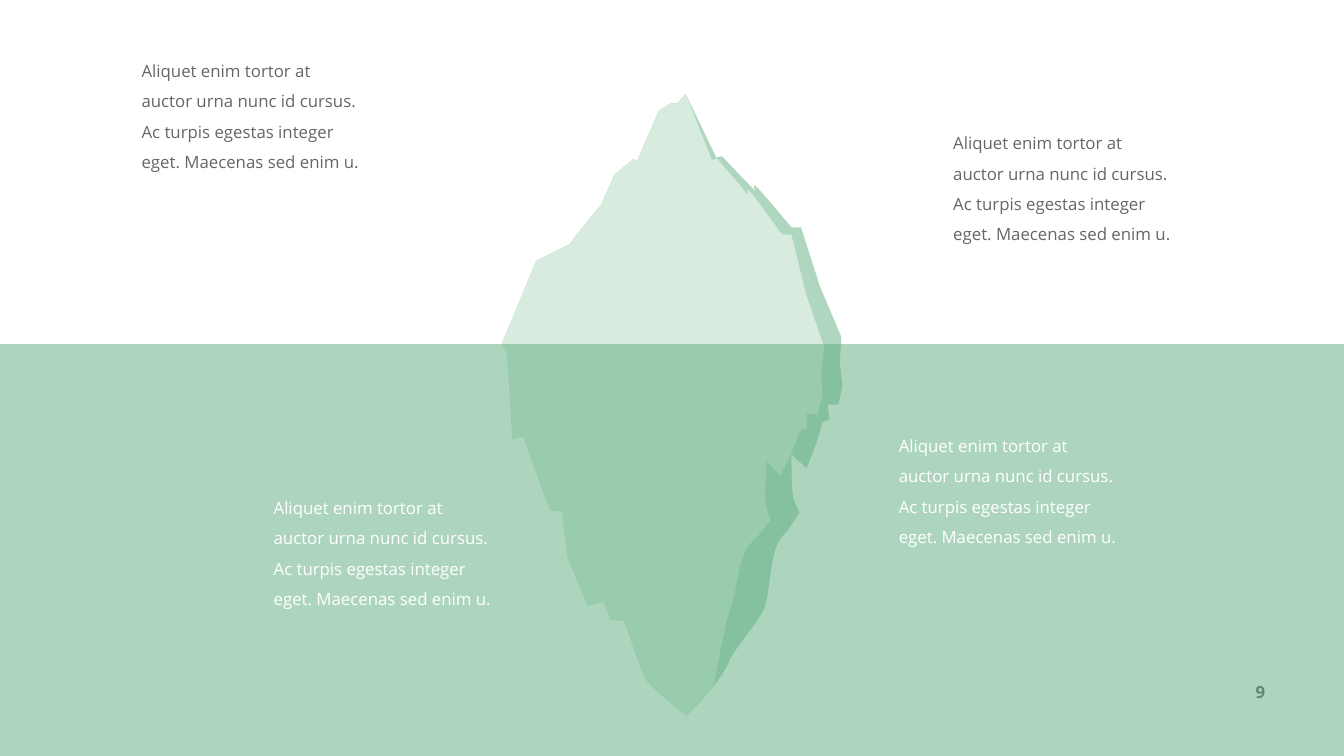
import pptx
import pptx.dml.color
import pptx.enum.shapes
import pptx.enum.text
import pptx.util
from lxml import etree
from pptx.oxml.ns import qn

PX = 9144  # EMU in one px, at 100 px to the inch
WIDTH, HEIGHT, WATERLINE = 2666, 1500, 683

COLORS = {
    "text": "656665",
    "white": "FFFFFF",
    "shade": "AFD6BF",
    "ice": "D7EBDE",
    "water": "5DAD7E",
}

BODY = (
    "Aliquet enim tortor at auctor urna nunc id cursus. "
    "Ac turpis egestas integer eget. Maecenas sed enim u."
)

# An outline step of two numbers is a line to x, y;
# one of six is a cubic curve: two control points, then its end.
WEST_SIDE = [
    (1331, 205), (1307, 219), (1264, 319), (1256, 316), (1219, 346),
    (1192, 407), (1144, 465), (1131, 484), (1064, 517), (995, 683),
    (1006, 701), (1017, 872), (1038, 866), (1091, 1012), (1115, 1015),
    (1126, 1106), (1166, 1202), (1198, 1194), (1211, 1229), (1238, 1232),
]

SHADE_EAST_SIDE = [
    (1344, 205), (1360, 186), (1421, 313), (1432, 310), (1498, 379),
    (1498, 379, 1493, 366, 1498, 368), (1503, 371, 1570, 451, 1570, 451),
    (1589, 451), (1626, 567), (1669, 669), (1666, 718), (1671, 767),
    (1663, 803), (1642, 803), (1645, 833),
    (1645, 833, 1631, 836, 1631, 839), (1631, 841, 1618, 883, 1618, 883),
    (1600, 929), (1570, 902),
    (1570, 902, 1570, 971, 1573, 984), (1576, 998, 1586, 1017, 1586, 1017),
    (1560, 1056),
    (1560, 1056, 1544, 1067, 1536, 1097), (1528, 1128, 1525, 1180, 1517, 1205),
    (1509, 1229, 1448, 1298, 1445, 1315), (1442, 1331, 1371, 1422, 1360, 1416),
    (1349, 1411, 1277, 1350, 1277, 1339), (1277, 1328, 1238, 1232, 1238, 1232),
]

ICE_EAST_SIDE = [
    (1238, 1232, 1273, 1335, 1278, 1344), (1286, 1361, 1341, 1403, 1362, 1421),
    (1385, 1397, 1414, 1365, 1417, 1356), (1420, 1339, 1438, 1237, 1447, 1213),
    (1457, 1189, 1463, 1137, 1473, 1107), (1483, 1077, 1500, 1068, 1500, 1068),
    (1529, 1031),
    (1529, 1031, 1520, 1011, 1518, 997), (1516, 983, 1521, 915, 1521, 915),
    (1548, 944), (1570, 899),
    (1570, 899, 1586, 858, 1587, 856), (1587, 853, 1600, 851, 1600, 851),
    (1600, 821), (1621, 822), (1631, 787), (1629, 737), (1635, 689),
    (1599, 584), (1570, 466), (1551, 465),
    (1551, 465, 1490, 380, 1485, 377), (1480, 374, 1485, 388, 1485, 388),
    (1423, 315), (1412, 317), (1360, 186), (1344, 205),
]


def flatten(steps, pieces=8):
    """Turn lines and cubic curves into a list of points."""
    points = []
    for step in steps:
        if len(step) == 2:
            points.append(step)
            continue
        start, first, second, end = points[-1], step[:2], step[2:4], step[4:]
        for piece in range(1, pieces + 1):
            t = piece / pieces
            u = 1 - t
            points.append(tuple(
                u**3 * a + 3 * u * u * t * b + 3 * u * t * t * c + t**3 * d
                for a, b, c, d in zip(start, first, second, end)
            ))
    return points


class Painter:
    font_name = "Open Sans"
    font_size = pptx.util.Pt(24)

    def __init__(self, page):
        self.page = page

    def color(self, name):
        return pptx.dml.color.RGBColor.from_string(COLORS[name])

    def paint(self, shape, color):
        shape.shadow.inherit = False
        shape.fill.solid()
        shape.fill.fore_color.rgb = self.color(color)
        shape.line.fill.background()

    def outline(self, steps, color):
        points = [(round(x * PX), round(y * PX)) for x, y in flatten(steps)]
        builder = self.page.shapes.build_freeform(*points[0])
        builder.add_line_segments(points[1:], close=True)
        self.paint(builder.convert_to_shape(), color)

    def veil(self, left, top, width, height, color, opacity):
        """Draw a see-through rectangle; opacity is in percent."""
        shape = self.page.shapes.add_shape(
            pptx.enum.shapes.MSO_SHAPE.RECTANGLE,
            left * PX, top * PX, width * PX, height * PX,
        )
        self.paint(shape, color)
        tint = shape.fill._xPr.find(f".//{qn('a:srgbClr')}")
        etree.SubElement(tint, qn("a:alpha"), val=str(opacity * 1000))

    def text(self, left, top, width, height, wording, color):
        box = self.page.shapes.add_textbox(
            left * PX, top * PX, width * PX, height * PX
        )
        box.text_frame.word_wrap = True
        para = box.text_frame.paragraphs[0]
        para.text = wording
        para.font.name = self.font_name
        para.font.size = self.font_size
        para.font.color.rgb = self.color(color)
        return box

    def body(self, left, top, color):
        box = self.text(left, top, 453, 246, BODY, color)
        box.text_frame.auto_size = pptx.enum.text.MSO_AUTO_SIZE.SHAPE_TO_FIT_TEXT
        box.text_frame.paragraphs[0].line_spacing = 1.5

    def page_number(self, number):
        box = self.text(2400, 1323, 200, 100, number, "text")
        box.text_frame.vertical_anchor = pptx.enum.text.MSO_ANCHOR.MIDDLE
        para = box.text_frame.paragraphs[0]
        para.alignment = pptx.enum.text.PP_ALIGN.CENTER
        para.font.bold = True


def main():
    deck = pptx.Presentation()
    deck.slide_width, deck.slide_height = WIDTH * PX, HEIGHT * PX
    painter = Painter(deck.slides.add_slide(deck.slide_layouts[6]))

    painter.page_number("9")
    painter.outline(SHADE_EAST_SIDE + WEST_SIDE[::-1], "shade")
    painter.outline(WEST_SIDE + ICE_EAST_SIDE, "ice")
    painter.veil(0, WATERLINE, WIDTH, HEIGHT - WATERLINE, "water", 50)

    for left, top in [(271, 96), (533, 963), (1773, 840), (1881, 239)]:
        painter.body(left, top, "text" if top < WATERLINE else "white")

    deck.save("out.pptx")


if __name__ == "__main__":
    main()
